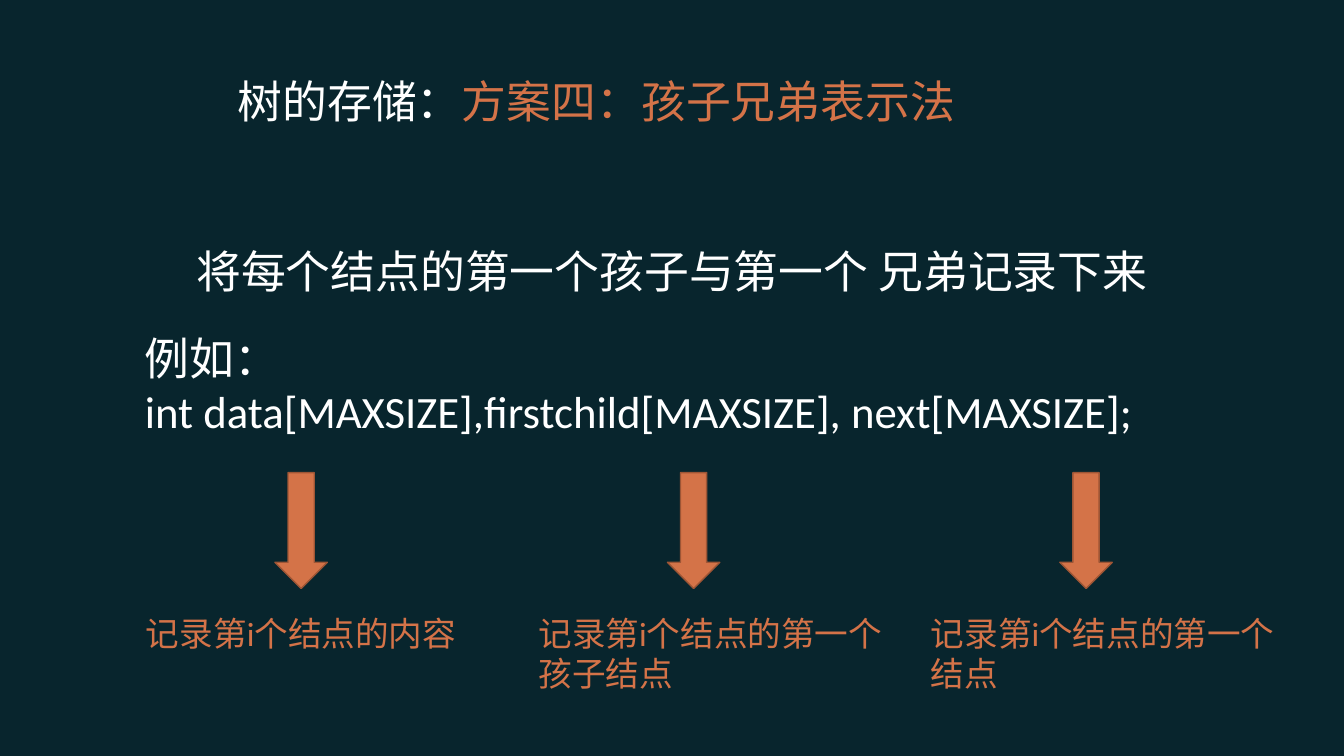
from pptx import Presentation
from pptx.dml.color import RGBColor
from pptx.enum import shapes, text
from pptx.oxml import parse_xml
from pptx.oxml.ns import nsdecls
from pptx.util import Cm, Pt

NIGHT = RGBColor(0x08, 0x25, 0x2D)
WHITE = RGBColor(0xFF, 0xFF, 0xFF)
ORANGE = RGBColor(0xD4, 0x73, 0x48)
RUST = RGBColor(0x9D, 0x55, 0x35)
LATIN, HAN = "Calibri", "Noto Sans CJK SC"
STEP = 9.89


def add_run(paragraph, words, size=32, color=WHITE, font=LATIN):
    """Append formatted words to a paragraph."""
    run = paragraph.add_run()
    run.text = words
    run.font.size = Pt(size)
    run.font.color.rgb = color
    run.font.name = font
    east_asian = parse_xml(f'<a:ea {nsdecls("a")} typeface="{HAN}"/>')
    run.font._element.find("{*}latin").addnext(east_asian)


def add_text(slide, box, lines, align=text.PP_ALIGN.LEFT,
             anchor=text.MSO_ANCHOR.TOP, fit=text.MSO_AUTO_SIZE.SHAPE_TO_FIT_TEXT,
             **font):
    """Add a text box whose lines are strings or lists of (words, format) pairs."""
    frame = slide.shapes.add_textbox(*map(Cm, box)).text_frame
    frame.word_wrap = True
    frame.auto_size = fit
    frame.vertical_anchor = anchor
    for index, line in enumerate(lines):
        paragraph = frame.add_paragraph() if index else frame.paragraphs[0]
        paragraph.alignment = align
        pieces = [(line, {})] if isinstance(line, str) else line
        for words, change in pieces:
            add_run(paragraph, words, **{**font, **change})


def add_down_arrow(slide, left):
    """Add an orange arrow from the declaration to its explanation."""
    arrow = slide.shapes.add_shape(
        shapes.MSO_SHAPE.DOWN_ARROW, Cm(left), Cm(11.91), Cm(1.32), Cm(2.92))
    arrow.shadow.inherit = False
    arrow.fill.solid()
    arrow.fill.fore_color.rgb = ORANGE
    arrow.line.color.rgb = RUST
    arrow.line.width = Pt(1)


def main():
    """Build the slide on child-sibling tree storage."""
    deck = Presentation()
    deck.slide_width, deck.slide_height = Cm(33.87), Cm(19.05)
    slide = deck.slides.add_slide(deck.slide_layouts[6])
    slide.background.fill.solid()
    slide.background.fill.fore_color.rgb = NIGHT

    title = [("树的存储：", {}),
             ("方案四：", {"color": ORANGE}),
             ("孩子兄弟表示法", {"color": ORANGE, "font": HAN})]
    add_text(slide, (5.74, 1.52, 20.19, 2.01), [title],
             anchor=text.MSO_ANCHOR.MIDDLE, fit=text.MSO_AUTO_SIZE.NONE)
    add_text(slide, (4.19, 6.02, 25.5, 1.63),
             ["将每个结点的第一个孩子与第一个 兄弟记录下来"],
             align=text.PP_ALIGN.CENTER)
    add_text(slide, (3.4, 8.2, 29.24, 3),
             ["例如：", "int data[MAXSIZE],firstchild[MAXSIZE], next[MAXSIZE];"])

    explanations = [("记录第i个结点的内容", 8.33),
                    ("记录第i个结点的第一个孩子结点", 9.42),
                    ("记录第i个结点的第一个结点", 9.42)]
    for column, (words, width) in enumerate(explanations):
        offset = column * STEP
        add_down_arrow(slide, 6.93 + offset)
        add_text(slide, (3.43 + offset, 15.32, width, 2.31), [words],
                 size=24, color=ORANGE)

    deck.save("out.pptx")


if __name__ == "__main__":
    main()
